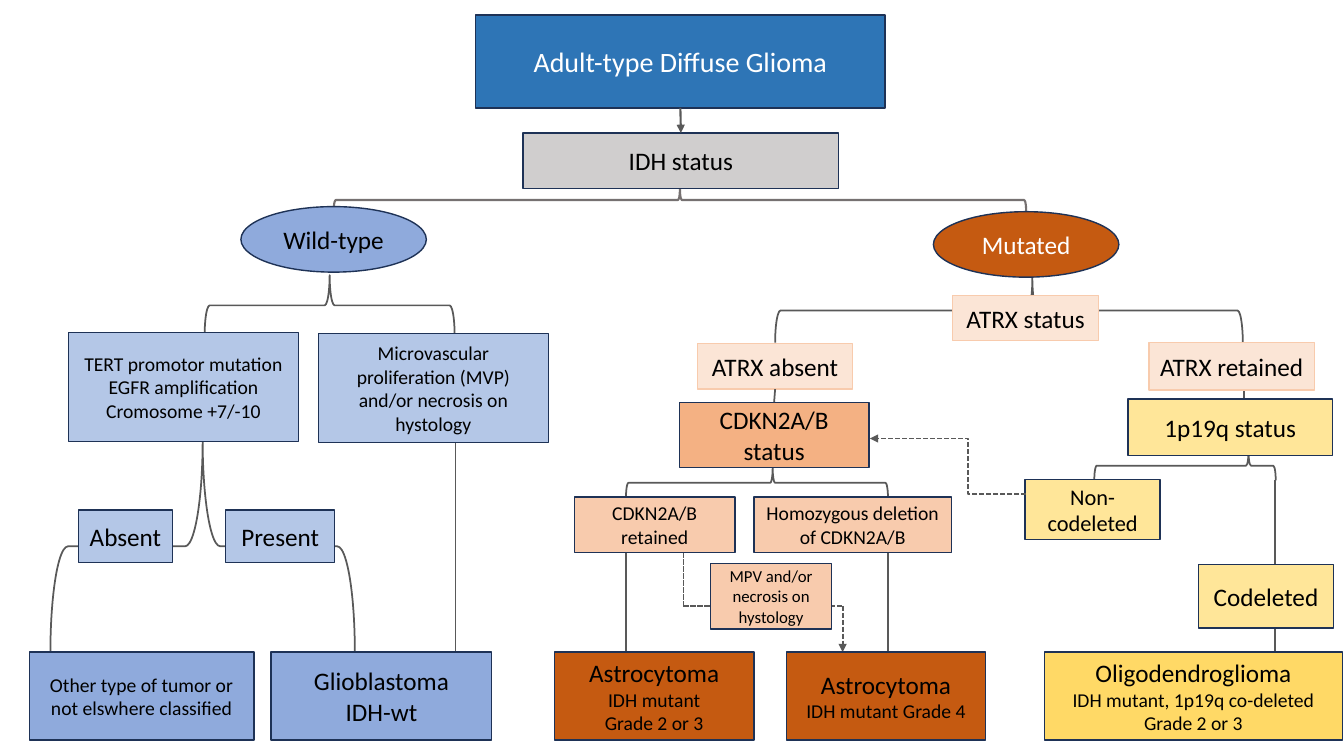
from lxml import etree
from pptx import Presentation
from pptx import util as u
from pptx.dml.color import RGBColor
from pptx.enum import dml, shapes, text
from pptx.oxml import ns

SLIDE_W, SLIDE_H = u.Inches(13.333), u.Inches(7.5)
COLUMN, ROW = SLIDE_W / 40, SLIDE_H / 30

WHITE = RGBColor(0xFF, 0xFF, 0xFF)
BLACK = RGBColor(0x00, 0x00, 0x00)
NAVY = RGBColor(0x1E, 0x32, 0x56)
BLUE = RGBColor(0x2E, 0x75, 0xB6)
MID_BLUE = RGBColor(0x8F, 0xAA, 0xDC)
PALE_BLUE = RGBColor(0xB4, 0xC7, 0xE7)
SILVER = RGBColor(0xD0, 0xCE, 0xCE)
GRAY = RGBColor(0x76, 0x71, 0x71)
DARK_GRAY = RGBColor(0x59, 0x59, 0x59)
RUST = RGBColor(0xC5, 0x5A, 0x11)
ORANGE = RGBColor(0xF4, 0xB1, 0x83)
PEACH = RGBColor(0xF8, 0xCB, 0xAD)
CREAM = RGBColor(0xFB, 0xE5, 0xD6)
YELLOW = RGBColor(0xFF, 0xE6, 0x99)
GOLD = RGBColor(0xFF, 0xD9, 0x66)

DIAGNOSIS_TOP, DIAGNOSIS_H = 25.88, 3.48

BRANCHES = [
    (32.57, 17.9, 5.4, 1.16, 0.85),
    (23.07, 11.04, 13.92, 2.56, 0.55),
    (18.63, 18.56, 7.8, 1.2, 0.56),
    (6.09, 10.92, 7.44, 2.4, None),
    (1.5, 17.48, 9.06, 8.4, None),
]

TRUNKS = [
    (37.95, 19.04, DIAGNOSIS_TOP),
    (26.43, 19.8, DIAGNOSIS_TOP),
    (18.63, 19.76, DIAGNOSIS_TOP),
    (13.56, 17.48, DIAGNOSIS_TOP),
    (37.02, 15.48, 15.84),
]

OUTCOMES = [
    ("Wild-type", 7.17, 8.2, MID_BLUE, BLACK),
    ("Mutated", 27.78, 8.4, RUST, WHITE),
]

TESTS = [
    ("TERT promotor mutation\nEGFR amplification\nCromosome +7/-10", (2.04, 13.2, 6.84, 4.32), PALE_BLUE, 14),
    ("Microvascular proliferation (MVP) and/or necrosis on hystology", (9.48, 13.24, 6.84, 4.32), PALE_BLUE, 14),
    ("Absent", (2.34, 20.24, 2.79, 2.08), PALE_BLUE, 18),
    ("Present", (6.72, 20.24, 3.24, 2.08), PALE_BLUE, 18),
    ("1p19q status", (33.57, 15.84, 6.09, 2.24), YELLOW, 18),
    ("Non-codeleted", (30.51, 19.04, 4.02, 2.36), YELLOW, 16),
    ("Codeleted", (35.67, 22.4, 4.02, 2.52), YELLOW, 18),
    ("CDKN2A/B retained", (17.1, 19.72, 4.77, 2.2), PEACH, 14),
    ("Homozygous deletion of CDKN2A/B", (22.44, 19.72, 5.88, 2.2), PEACH, 14),
    ("MPV and/or necrosis on hystology", (21.15, 22.36, 3.6, 2.6), PEACH, 12),
]

DIAGNOSES = [
    ("Other type of tumor or not elswhere classified", 0.87, 6.69, MID_BLUE, 14, 14),
    ("Glioblastoma\nIDH-wt", 8.07, 6.57, MID_BLUE, 18, 18),
    ("Astrocytoma\nIDH mutant\nGrade 2 or 3", 16.5, 5.94, RUST, 18, 14),
    ("Astrocytoma\nIDH mutant Grade 4", 23.4, 5.94, RUST, 18, 14),
    ("Oligodendroglioma\nIDH mutant, 1p19q co-deleted Grade 2 or 3", 31.08, 8.88, GOLD, 18, 14),
]


def across(columns):
    """Turn grid columns into a length."""
    return u.Emu(round(columns * COLUMN))


def down(rows):
    """Turn grid rows into a length."""
    return u.Emu(round(rows * ROW))


def place(node, left, top, width, height):
    """Set a node's frame in grid units."""
    node.left, node.top = across(left), down(top)
    node.width, node.height = across(width), down(height)


def dress(node, label, fill, size, detail_size=None, ink=BLACK, border=NAVY):
    """Fill a node and write its label, with later lines in the detail size."""
    node.fill.solid()
    node.fill.fore_color.rgb = fill
    node.line.color.rgb = border
    node.line.width = u.Pt(1)
    frame = node.text_frame
    frame.text = label
    frame.word_wrap = True
    frame.auto_size = text.MSO_AUTO_SIZE.NONE
    frame.vertical_anchor = text.MSO_ANCHOR.MIDDLE
    for order, paragraph in enumerate(frame.paragraphs):
        paragraph.alignment = text.PP_ALIGN.CENTER
        for run in paragraph.runs:
            run.font.name = "Calibri"
            run.font.size = u.Pt(detail_size if order and detail_size else size)
            run.font.color.rgb = ink


def add_node(slide, label, frame, fill, size, kind=shapes.MSO_SHAPE.RECTANGLE, **look):
    """Add one labelled node of the decision tree."""
    node = slide.shapes.add_shape(kind, 0, 0, 0, 0)
    node.shadow.inherit = False
    place(node, *frame)
    dress(node, label, fill, size, **look)
    return node


def add_branch(slide, left, top, width, height, peak=None, color=DARK_GRAY, weight=1.25):
    """Add an upward brace over the given area, its peak at a share of the width."""
    wide, high = across(width), down(height)
    kind, turn = (shapes.MSO_SHAPE.RIGHT_BRACE, 270) if peak else (shapes.MSO_SHAPE.LEFT_BRACE, 90)
    brace = slide.shapes.add_shape(
        kind, across(left) + (wide - high) // 2, down(top) + (high - wide) // 2, high, wide)
    brace.rotation = turn
    if peak:
        brace.adjustments[1] = peak
    brace.shadow.inherit = False
    brace.fill.background()
    brace.line.color.rgb = color
    brace.line.width = u.Pt(weight)


def add_link(slide, start, end, dashed=False, arrow=False, weight=1.25, bend=None):
    """Add a line between two grid points, bent at a share of its width if asked."""
    kind = shapes.MSO_CONNECTOR.ELBOW if bend else shapes.MSO_CONNECTOR.STRAIGHT
    link = slide.shapes.add_connector(
        kind, across(start[0]), down(start[1]), across(end[0]), down(end[1]))
    link.line.color.rgb = DARK_GRAY
    link.line.width = u.Pt(weight)
    if dashed:
        link.line.dash_style = dml.MSO_LINE.SQUARE_DOT
    properties = link._element.spPr
    if arrow:
        etree.SubElement(link.line._get_or_add_ln(), ns.qn("a:tailEnd"), type="triangle")
    if bend:
        guides = properties.find(ns.qn("a:prstGeom")).find(ns.qn("a:avLst"))
        etree.SubElement(guides, ns.qn("a:gd"), name="adj1", fmla=f"val {round(bend * 100000)}")
    etree.SubElement(properties, ns.qn("a:effectLst"))
    return link


def join(slide, upper, lower, **look):
    """Link the bottom of one node to the top of another."""
    link = add_link(slide, (0, 0), (1, 1), **look)
    link.begin_connect(upper, 2)
    link.end_connect(lower, 0)


def main():
    """Build the glioma decision tree."""
    deck = Presentation()
    deck.slide_width, deck.slide_height = SLIDE_W, SLIDE_H
    slide = deck.slides.add_slide(deck.slide_layouts[5])

    glioma = slide.shapes.title
    place(glioma, 14.16, 0.6, 12.18, 3.68)
    dress(glioma, "Adult-type Diffuse Glioma", BLUE, 20, ink=WHITE)

    add_branch(slide, 9.93, 7.48, 20.61, 0.92, color=GRAY, weight=1.5)
    for branch in BRANCHES:
        add_branch(slide, *branch)
    for column, top, bottom in TRUNKS:
        add_link(slide, (column, top), (column, bottom))

    necrosis_route = [(20.34, 21.92), (20.34, 24.04), (25.08, 24.04), (25.08, DIAGNOSIS_TOP)]
    for start, end in zip(necrosis_route, necrosis_route[1:]):
        add_link(slide, start, end, dashed=True, arrow=end == necrosis_route[-1])

    idh = add_node(slide, "IDH status", (15.57, 5.28, 9.39, 2.2), SILVER, 18)
    for label, left, top, fill, ink in OUTCOMES:
        add_node(slide, label, (left, top, 5.52, 2.6), fill, 18, shapes.MSO_SHAPE.OVAL, ink=ink)
    add_node(slide, "ATRX status", (28.35, 11.72, 4.35, 1.8), CREAM, 18, border=PEACH)
    atrx_absent = add_node(slide, "ATRX absent", (20.76, 13.64, 4.62, 1.8), CREAM, 18, border=PEACH)
    add_node(slide, "ATRX retained", (34.2, 13.6, 4.92, 1.88), CREAM, 18, border=PEACH)
    cdkn = add_node(slide, "CDKN2A/B status", (20.22, 15.96, 5.64, 2.6), ORANGE, 18)
    for test in TESTS:
        add_node(slide, *test)
    for label, left, width, fill, size, detail_size in DIAGNOSES:
        add_node(slide, label, (left, DIAGNOSIS_TOP, width, DIAGNOSIS_H), fill, size,
                 detail_size=detail_size)

    join(slide, glioma, idh, arrow=True, weight=1.5)
    join(slide, atrx_absent, cdkn)
    add_link(slide, (30.54, 19.6), (25.89, 17.4), dashed=True, arrow=True, bend=0.37)
    deck.save("out.pptx")


if __name__ == "__main__":
    main()
